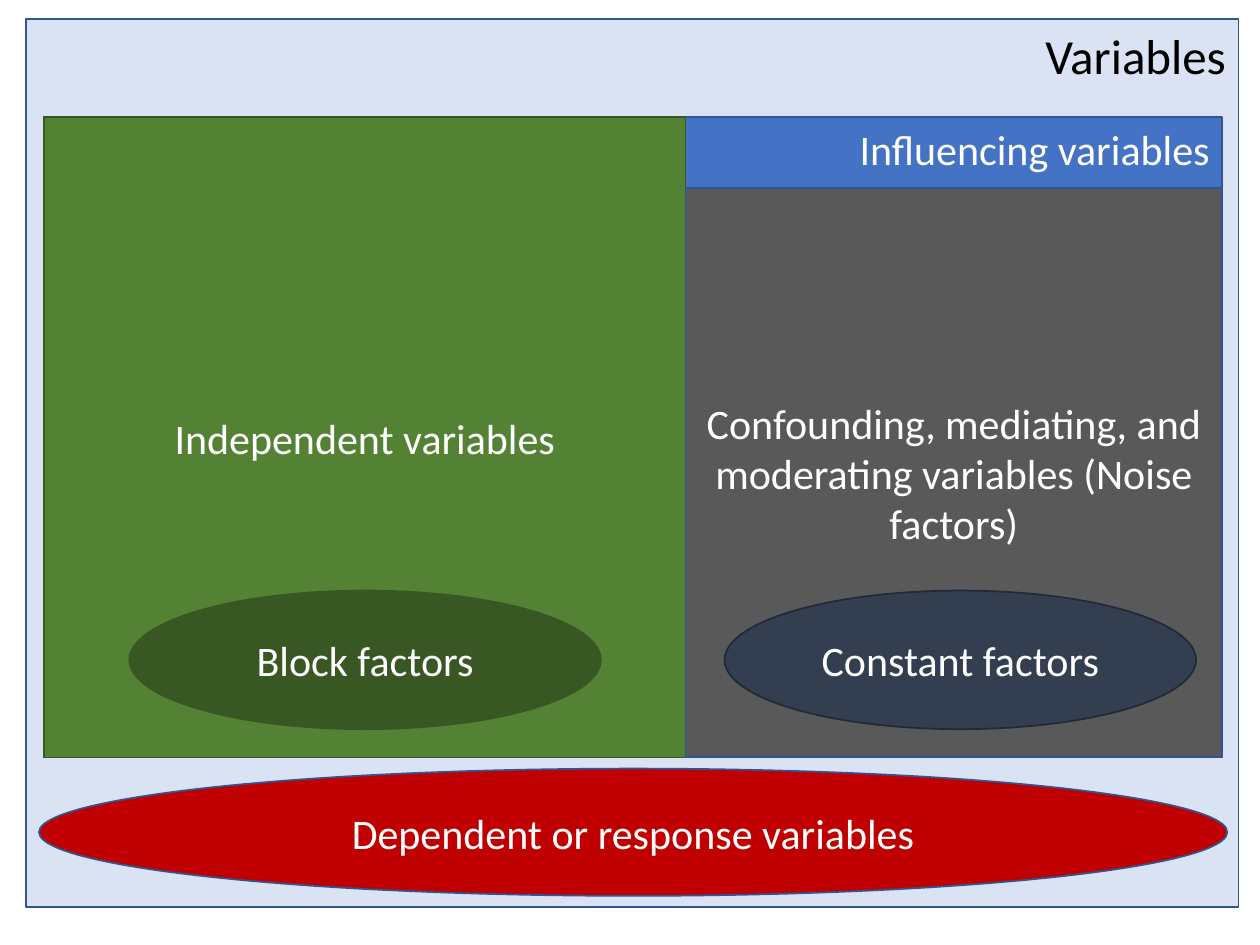
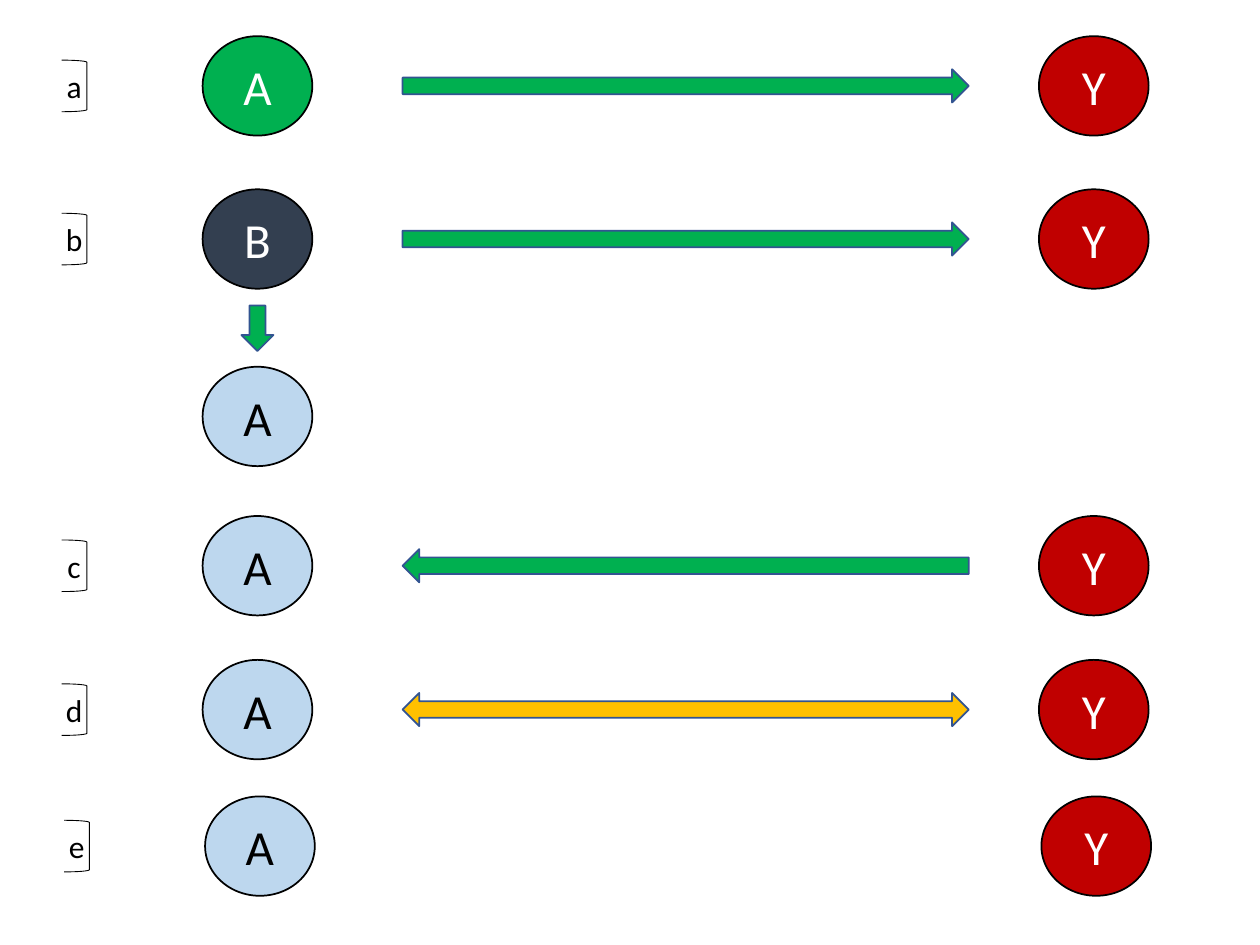
from dataclasses import dataclass
from typing import NamedTuple, Optional

from pptx import Presentation
from pptx.dml.color import RGBColor
from pptx.enum.shapes import MSO_SHAPE as Preset
from pptx.enum.text import MSO_ANCHOR as Anchor
from pptx.enum.text import MSO_AUTO_SIZE as AutoSize
from pptx.enum.text import PP_ALIGN as Align
from pptx.util import Pt


@dataclass(frozen=True)
class Theme:
    font: str = "Calibri"
    large: float = 28
    medium: float = 24
    small: float = 18
    outline: float = 1
    hairline: float = 0.5
    black: str = "000000"
    white: str = "FFFFFF"
    edge: str = "325491"
    pale: str = "DAE3F3"
    blue: str = "4472C4"
    sky: str = "BDD7EE"
    olive: str = "548235"
    forest: str = "385723"
    green: str = "00B050"
    gray: str = "595959"
    navy: str = "333F50"
    ink: str = "222A35"
    red: str = "C00000"
    amber: str = "FFC000"


THEME = Theme()


class Area(NamedTuple):
    left: float
    top: float
    width: float
    height: float


@dataclass(frozen=True)
class Label:
    text: str
    size: float = THEME.medium
    color: str = THEME.white
    align: Align = Align.CENTER
    anchor: Anchor = Anchor.MIDDLE


@dataclass(frozen=True)
class Block:
    area: Area
    fill: Optional[str]
    preset: Preset = Preset.RECTANGLE
    line: str = THEME.edge
    label: Optional[Label] = None
    weight: float = THEME.outline


@dataclass(frozen=True)
class Relation:
    name: str
    top: float
    source: str
    fill: str
    arrow: Optional[Preset] = None
    arrow_fill: str = THEME.green
    text_color: str = THEME.black
    shift: float = 0


FRAME = Area(15, 10.8, 692.7, 507.6)
FRAME_LABEL = Label("Variables", THEME.large, THEME.black, Align.RIGHT, Anchor.TOP)

INFLUENCING = Area(25.2, 67, 673.2, 365.8)
SPLIT = 391.8
HEADER_HEIGHT = 40.3
FACTOR_TOP, FACTOR_WIDTH, FACTOR_HEIGHT = 337.5, 269.5, 79.2

VARIABLE_BLOCKS = (
    Block(Area(22.3, 439.2, 679, 72.7), THEME.red, Preset.OVAL,
          label=Label("Dependent or response variables")),
    Block(INFLUENCING, THEME.blue,
          label=Label("Influencing variables", align=Align.RIGHT, anchor=Anchor.TOP)),
    Block(INFLUENCING._replace(width=SPLIT - INFLUENCING.left), THEME.olive,
          line=THEME.forest, label=Label("Independent variables")),
    Block(Area(SPLIT, INFLUENCING.top + HEADER_HEIGHT,
               INFLUENCING.left + INFLUENCING.width - SPLIT,
               INFLUENCING.height - HEADER_HEIGHT), THEME.gray,
          label=Label("Confounding, mediating, and moderating variables (Noise factors)")),
    Block(Area(414, FACTOR_TOP, FACTOR_WIDTH, FACTOR_HEIGHT), THEME.navy,
          Preset.OVAL, THEME.ink, Label("Constant factors")),
    Block(Area(73.9, FACTOR_TOP, FACTOR_WIDTH, FACTOR_HEIGHT), THEME.forest,
          Preset.OVAL, THEME.forest, Label("Block factors")),
)

SOURCE_LEFT, RESPONSE_LEFT = 115.8, 593.7
CIRCLE_WIDTH, CIRCLE_HEIGHT = 62.7, 56.8
BRACKET_LEFT, BRACKET_WIDTH, BRACKET_HEIGHT = 35.3, 14.4, 29.5
BRACKET_INSET = 4
ARROW_LEFT, ARROW_WIDTH, ARROW_HEIGHT = 230.1, 323.5, 19
DOWN_WIDTH, DOWN_HEIGHT = 18.3, 26
DOWN_TOP, MEDIATED_TOP = 174.6, 209.6

RELATIONS = (
    Relation("a", 20.7, "A", THEME.green, Preset.RIGHT_ARROW, text_color=THEME.white),
    Relation("b", 108.2, "B", THEME.navy, Preset.RIGHT_ARROW, text_color=THEME.white),
    Relation("c", 294.9, "A", THEME.sky, Preset.LEFT_ARROW),
    Relation("d", 377.1, "A", THEME.sky, Preset.LEFT_RIGHT_ARROW, THEME.amber),
    Relation("e", 455.1, "A", THEME.sky, shift=1.4),
)


def rgb(color: str) -> RGBColor:
    return RGBColor.from_string(color)


def write(box, label: Label) -> None:
    frame = box.text_frame
    frame.auto_size = AutoSize.NONE
    frame.word_wrap = True
    frame.vertical_anchor = label.anchor
    para = frame.paragraphs[0]
    para.alignment = label.align
    span = para.add_run()
    span.text = label.text
    span.font.name = THEME.font
    span.font.size = Pt(label.size)
    span.font.color.rgb = rgb(label.color)


def paint(box, block: Block) -> None:
    if block.fill:
        box.fill.solid()
        box.fill.fore_color.rgb = rgb(block.fill)
    else:
        box.fill.background()
    box.line.color.rgb = rgb(block.line)
    box.line.width = Pt(block.weight)
    if block.label:
        write(box, block.label)


def draw(page, block: Block):
    box = page.shapes.add_shape(block.preset, *map(Pt, block.area))
    box.shadow.inherit = False
    paint(box, block)
    return box


def draw_circle(page, left: float, top: float, text: str, fill: str,
                text_color: str = THEME.white) -> None:
    draw(page, Block(Area(left, top, CIRCLE_WIDTH, CIRCLE_HEIGHT), fill, Preset.OVAL,
                     THEME.black, Label(text, THEME.large, text_color)))


def draw_bracket(page, relation: Relation) -> None:
    top = relation.top + (CIRCLE_HEIGHT - BRACKET_HEIGHT) / 2
    area = Area(BRACKET_LEFT + relation.shift, top, BRACKET_WIDTH, BRACKET_HEIGHT)
    box = draw(page, Block(area, None, Preset.RIGHT_BRACKET, THEME.black,
                           Label(relation.name, THEME.small, THEME.black),
                           THEME.hairline))
    frame = box.text_frame
    frame.word_wrap = False
    frame.margin_left = Pt(BRACKET_INSET)
    frame.margin_right = frame.margin_top = frame.margin_bottom = 0


def draw_relation(page, relation: Relation) -> None:
    draw_circle(page, RESPONSE_LEFT + relation.shift, relation.top, "Y", THEME.red)
    draw_bracket(page, relation)
    draw_circle(page, SOURCE_LEFT + relation.shift, relation.top, relation.source,
                relation.fill, relation.text_color)
    if relation.arrow:
        top = relation.top + (CIRCLE_HEIGHT - ARROW_HEIGHT) / 2
        draw(page, Block(Area(ARROW_LEFT, top, ARROW_WIDTH, ARROW_HEIGHT),
                         relation.arrow_fill, relation.arrow))


def build_variables(deck) -> None:
    page = deck.slides.add_slide(deck.slide_layouts.get_by_name("Title Only"))
    title = page.shapes.title
    title.left, title.top, title.width, title.height = map(Pt, FRAME)
    paint(title, Block(FRAME, THEME.pale, label=FRAME_LABEL))
    for block in VARIABLE_BLOCKS:
        draw(page, block)


def build_relations(deck) -> None:
    page = deck.slides.add_slide(deck.slide_layouts.get_by_name("Blank"))
    for relation in RELATIONS:
        draw_relation(page, relation)
    draw_circle(page, SOURCE_LEFT, MEDIATED_TOP, "A", THEME.sky, THEME.black)
    down_left = SOURCE_LEFT + (CIRCLE_WIDTH - DOWN_WIDTH) / 2
    draw(page, Block(Area(down_left, DOWN_TOP, DOWN_WIDTH, DOWN_HEIGHT),
                     THEME.green, Preset.DOWN_ARROW))


def main() -> None:
    deck = Presentation()
    deck.slide_width, deck.slide_height = Pt(720), Pt(540)
    build_variables(deck)
    build_relations(deck)
    deck.save("out.pptx")


if __name__ == "__main__":
    main()
